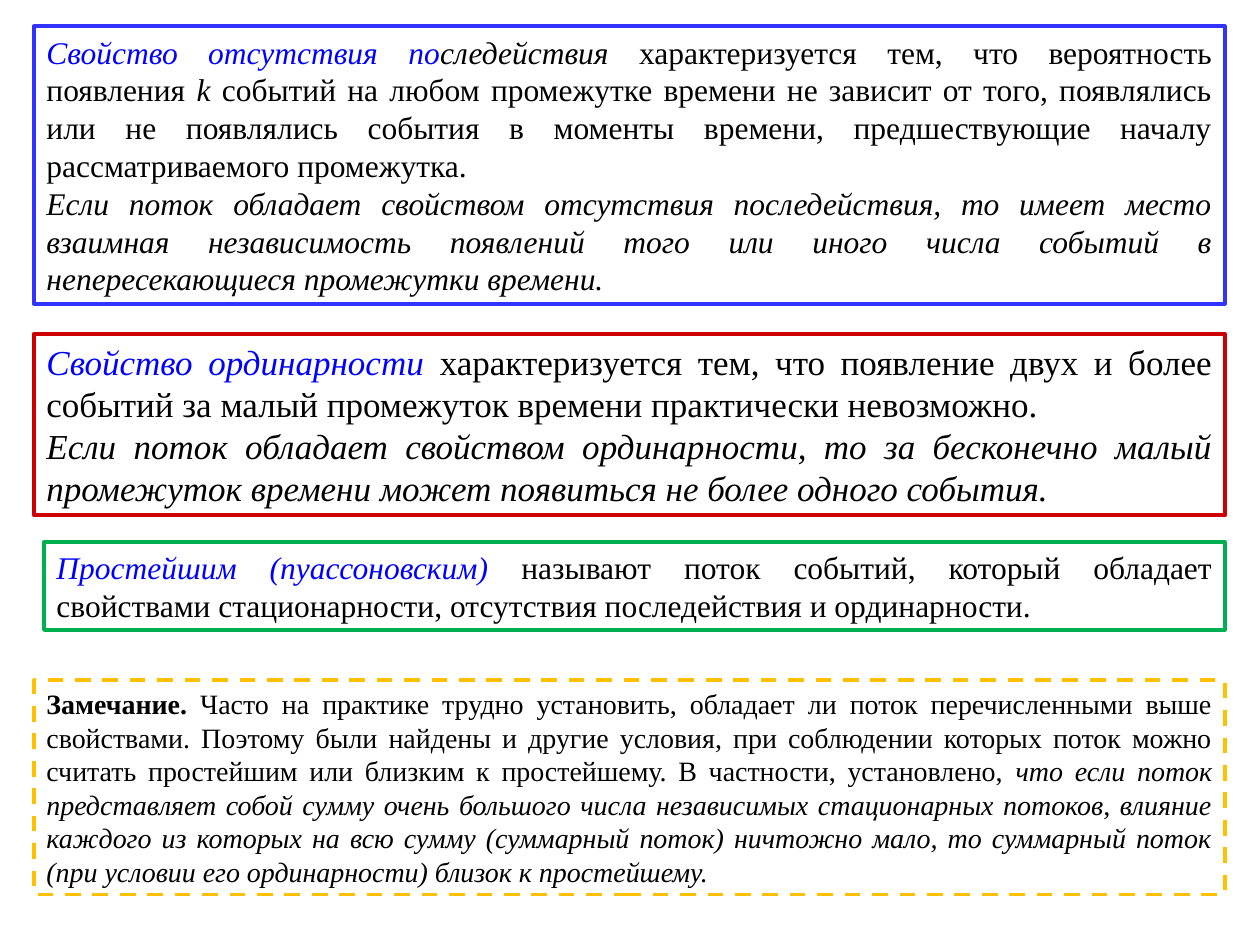
from pptx import Presentation
from pptx.dml.color import RGBColor
from pptx.enum.dml import MSO_LINE_DASH_STYLE as Dash
from pptx.enum.text import MSO_AUTO_SIZE as AutoSize, PP_ALIGN as Align
from pptx.util import Inches, Pt

BLACK = RGBColor(0x00, 0x00, 0x00)
TERM_BLUE = RGBColor(0x00, 0x00, 0xFF)
FRAME_BLUE = RGBColor(0x33, 0x33, 0xFF)
FRAME_RED = RGBColor(0xCC, 0x00, 0x00)
FRAME_GREEN = RGBColor(0x00, 0xB0, 0x50)
FRAME_AMBER = RGBColor(0xFF, 0xC0, 0x00)

LEFT, RIGHT = 0.27, 9.72


class FramedText:
    """Draws framed, justified text boxes on one page in a shared style."""

    font_name = "Times New Roman"
    line_width = Pt(2.25)

    def __init__(self, page):
        self.page = page

    def span(self, para, text, size, color=BLACK, italic=False, bold=False):
        span = para.add_run()
        span.text = text
        font = span.font
        font.name = self.font_name
        font.size = Pt(size)
        font.color.rgb = color
        font.italic = italic
        font.bold = bold

    def frame(self, top, height, color, size, paragraphs, left=LEFT, dash=None):
        box = self.page.shapes.add_textbox(
            Inches(left), Inches(top), Inches(RIGHT - left), Inches(height))
        box.line.color.rgb = color
        box.line.width = self.line_width
        if dash:
            box.line.dash_style = dash
        text_frame = box.text_frame
        text_frame.word_wrap = True
        text_frame.auto_size = AutoSize.SHAPE_TO_FIT_TEXT
        for index, spans in enumerate(paragraphs):
            para = text_frame.add_paragraph() if index else text_frame.paragraphs[0]
            para.alignment = Align.JUSTIFY
            for text, style in spans:
                self.span(para, text, size, **style)


PLAIN = {}
ITALIC = {"italic": True}
BOLD = {"bold": True}
TERM = {"italic": True, "color": TERM_BLUE}

NO_AFTEREFFECT = [
    [
        ("Свойство отсутствия по", TERM),
        ("следействия", ITALIC),
        (" характеризуется тем, что вероятность появления ", PLAIN),
        ("k ", ITALIC),
        ("событий на любом промежутке времени не зависит от того, появлялись "
         "или не появлялись события в моменты времени, предшествующие началу "
         "рассматриваемого промежутка.", PLAIN),
    ],
    [
        ("Если поток обладает свойством отсутствия последействия, то имеет место "
         "взаимная независимость появлений того или иного числа событий в "
         "непересекающиеся промежутки времени.", ITALIC),
    ],
]

ORDINARITY = [
    [
        ("Свойство ординарности ", TERM),
        ("характеризуется тем, что появление двух и более событий за малый "
         "промежуток времени практически невозможно. ", PLAIN),
    ],
    [
        ("Если поток обладает свойством ординарности, то за бесконечно малый "
         "промежуток времени может появиться не более одного события.", ITALIC),
    ],
]

SIMPLEST_FLOW = [
    [
        ("Простейшим (пуассоновским) ", TERM),
        ("называют поток событий, который обладает свойствами стационарности, "
         "отсутствия последействия и ординарности.", PLAIN),
    ],
]

REMARK = [
    [
        ("Замечание. ", BOLD),
        ("Часто на практике трудно установить, обладает ли поток перечисленными "
         "выше свойствами. Поэтому были найдены и другие условия, при соблюдении "
         "которых поток можно считать простейшим или близким к простейшему. "
         "В частности, установлено, ", PLAIN),
        ("что если поток представляет собой сумму очень большого числа независимых "
         "стационарных потоков, влияние каждого из которых на всю сумму (суммарный "
         "поток) ничтожно мало, то суммарный поток (при условии его ординарности) "
         "близок к простейшему.", ITALIC),
    ],
]


def main():
    deck = Presentation()
    deck.slide_width = Inches(10)
    deck.slide_height = Inches(7.5)
    page = FramedText(deck.slides.add_slide(deck.slide_layouts[6]))
    page.frame(0.21, 2.2, FRAME_BLUE, 18, NO_AFTEREFFECT)
    page.frame(2.65, 1.44, FRAME_RED, 20, ORDINARITY)
    page.frame(4.3, 0.7, FRAME_GREEN, 18, SIMPLEST_FLOW, left=0.35)
    page.frame(5.4, 1.7, FRAME_AMBER, 16, REMARK, dash=Dash.DASH)
    deck.save("out.pptx")


if __name__ == "__main__":
    main()
